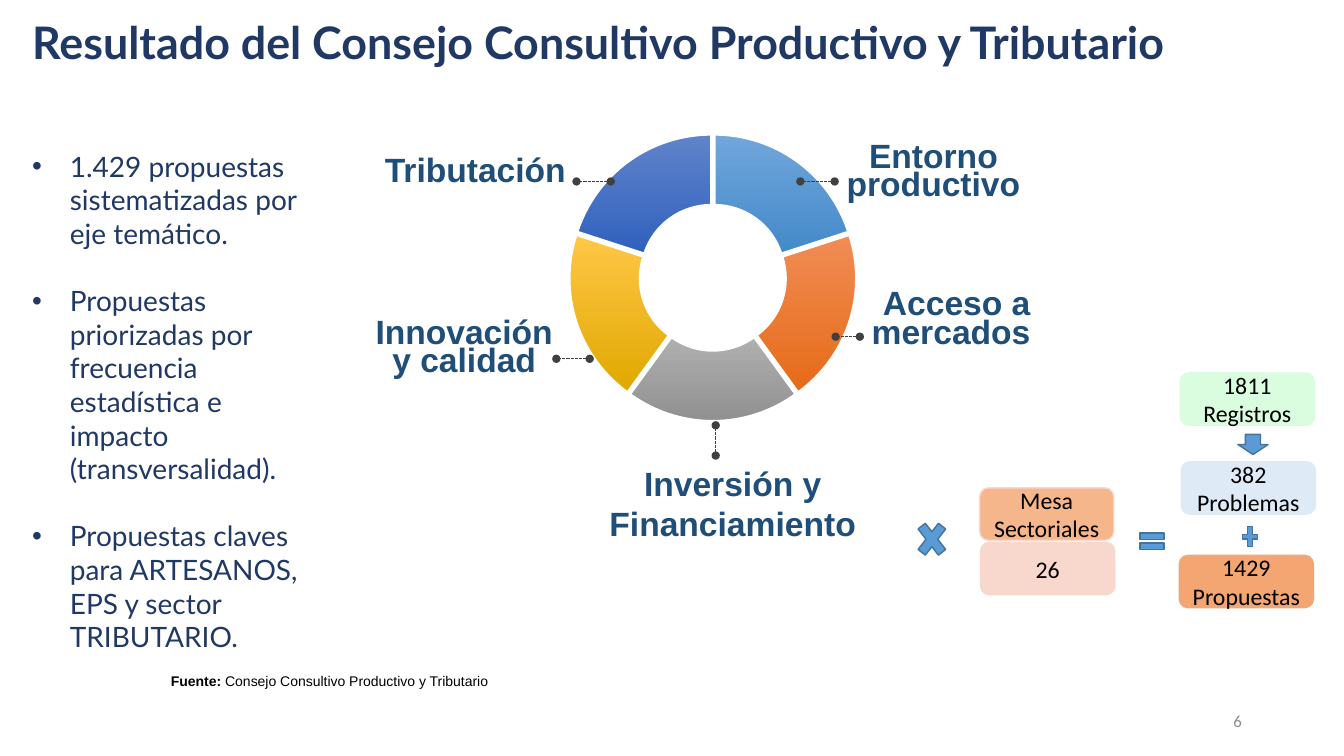
from lxml.etree import SubElement
from pptx import Presentation
from pptx.chart.data import CategoryChartData
from pptx.dml.color import RGBColor
from pptx.enum.chart import XL_CHART_TYPE as ChartType
from pptx.enum.dml import MSO_LINE as LineStyle
from pptx.enum.shapes import MSO_CONNECTOR as Connector, MSO_SHAPE as Shape
from pptx.enum.text import MSO_ANCHOR as Anchor, MSO_AUTO_SIZE as AutoSize, PP_ALIGN as Align
from pptx.oxml import parse_xml
from pptx.oxml.ns import nsdecls, qn
from pptx.util import Pt

NAVY, TEAL, BLACK = "203864", "1F4E79", "000000"
AXES = [
    ("Entorno productivo", (341.3, 14.4, 141.1, 57.6), Align.CENTER, 0.7, (341.3, 43.2, 316.8, 43.2)),
    ("Acceso a mercados", (359.3, 119.5, 128.9, 104.4), Align.RIGHT, 0.7, (359.3, 154.1, 342, 154.1)),
    ("Inversión y Financiamiento", (149.7, 240.5, 237.6, 76.3), Align.CENTER, 1, (256.3, 239, 256.3, 217.4)),
    ("Innovación y calidad", (0, 139.7, 153.4, 57.6), Align.CENTER, 0.7, (166.3, 169.9, 142.5, 169.9)),
    ("Tributación", (12.9, 24.5, 144, 32.4), Align.LEFT, 0.7, (181.4, 43.2, 156.9, 43.2)),
]
SEGMENTS = [("71A6DB", "438AC9"), ("F18C55", "E56B17"), ("AFAFAF", "919191"),
            ("FFC746", "E0A800"), ("6083CB", "3061BD")]
COUNTS = [
    (["Mesa Sectoriales"], 48.2, 82.1, "F5B68B", "F8D7CD"),
    (["26"], 48.9, 121, "F8D7CD", "F8D7CD"),
    (["1811", "Registros"], 191.5, 0, "DBFDDF", "DBFDDF"),
    (["382", "Problemas"], 192.2, 63.4, "DEEBF7", "DEEBF7"),
    (["1429", "Propuestas"], 190.8, 130.3, "F3A671", "F3A671"),
]
SYMBOLS = [
    (Shape.MATH_MULTIPLY, 0, 100.8, 28.1, 36),
    (Shape.MATH_EQUAL, 159.8, 110.2, 23, 20.2),
    (Shape.DOWN_ARROW, 232.6, 43.9, 21.6, 14.4),
    (Shape.MATH_PLUS, 234, 107.3, 14.4, 19.4),
]
PROPOSALS = [
    "1.429 propuestas sistematizadas por eje temático.",
    "Propuestas priorizadas por frecuencia estadística e impacto (transversalidad).",
    "Propuestas claves para ARTESANOS, EPS y sector TRIBUTARIO.",
]


def rgb(value):
    return RGBColor.from_string(value)


def points(*values):
    return [Pt(value) for value in values]


def add_run(paragraph, text, size, font, color, bold=False):
    run = paragraph.add_run()
    run.text = text
    run.font.size = Pt(size)
    run.font.name = font
    run.font.bold = bold
    run.font.color.rgb = rgb(color)


def add_box(slide, left, top, width, height, wrap=True):
    box = slide.shapes.add_textbox(*points(left, top, width, height))
    box.text_frame.word_wrap = wrap
    return box


def add_filled(slide, kind, left, top, width, height, fill, line):
    shape = slide.shapes.add_shape(kind, *points(left, top, width, height))
    shape.shadow.inherit = False
    shape.fill.solid()
    shape.fill.fore_color.rgb = rgb(fill)
    shape.line.color.rgb = rgb(line)
    shape.line.width = Pt(1)
    return shape


def add_title(slide, left, top, width, height):
    title = slide.shapes.title
    title.left, title.top, title.width, title.height = points(left, top, width, height)
    title.text_frame.vertical_anchor = Anchor.TOP
    title.text_frame.auto_size = AutoSize.NONE
    paragraph = title.text_frame.paragraphs[0]
    paragraph.alignment = Align.LEFT
    paragraph.line_spacing = 0.9
    add_run(paragraph, "Resultado del Consejo Consultivo Productivo y Tributario", 32, "Lato", NAVY, True)


def add_proposals(slide, left, top, width, height):
    frame = add_box(slide, left, top, width, height).text_frame
    for index, text in enumerate(PROPOSALS):
        paragraph = frame.add_paragraph() if index else frame.paragraphs[0]
        properties = paragraph._p.get_or_add_pPr()
        properties.set("marL", str(Pt(27)))
        properties.set("indent", str(-Pt(27)))
        SubElement(properties, qn("a:buFont")).set("typeface", "Arial")
        SubElement(properties, qn("a:buChar")).set("char", "•")
        if index:
            paragraph.space_before = Pt(24)
        add_run(paragraph, text, 20, "Lato", NAVY)


def add_ring(slide, left, top, width, height):
    data = CategoryChartData()
    data.categories = [str(number + 1) for number in range(len(SEGMENTS))]
    data.add_series("Series 1", [100 // len(SEGMENTS)] * len(SEGMENTS))
    chart = slide.shapes.add_chart(ChartType.DOUGHNUT, *points(left, top, width, height), data).chart
    chart.has_title = chart.has_legend = False
    chart.font.size = Pt(18)
    chart.font.name = "Calibri"
    chart.font.color.rgb = rgb(BLACK)
    plot = chart.plots[0]
    plot.vary_by_categories = True
    plot.has_data_labels = False
    series = plot.series[0]
    for index, colors in enumerate(SEGMENTS):
        style = series.points[index].format
        style.fill.gradient()
        style.fill.gradient_angle = 270
        for stop, color in zip(style.fill.gradient_stops, colors):
            stop.color.rgb = rgb(color)
        style.line.color.rgb = rgb("FFFFFF")
        style.line.width = Pt(1.5)
    explosion = parse_xml(f'<c:explosion {nsdecls("c")} val="4"/>')
    series._element.find(qn("c:dPt")).addprevious(explosion)
    area = chart._chartSpace.find(f'{qn("c:chart")}/{qn("c:plotArea")}')
    for layout in area.findall(qn("c:layout")):
        area.remove(layout)
    layout = parse_xml(f'<c:layout {nsdecls("c")}><c:manualLayout/></c:layout>')
    settings = [("layoutTarget", "inner"), ("xMode", "edge"), ("yMode", "edge"),
                ("x", "0.032"), ("y", "0.039"), ("w", "0.88"), ("h", "0.85")]
    for name, value in settings:
        SubElement(layout[0], qn(f"c:{name}")).set("val", value)
    area.insert(0, layout)


def add_leader(slide, start_x, start_y, end_x, end_y):
    leader = slide.shapes.add_connector(Connector.STRAIGHT, *points(start_x, start_y, end_x, end_y))
    leader.line.color.rgb = rgb("404040")
    leader.line.width = Pt(0.75)
    leader.line.dash_style = LineStyle.SQUARE_DOT
    properties = leader._element.spPr
    for end in ("a:headEnd", "a:tailEnd"):
        SubElement(properties.get_or_add_ln(), qn(end)).set("type", "oval")
    SubElement(properties, qn("a:effectLst"))
    return leader


def add_axes(slide, left, top):
    add_ring(slide, left + 103.7, top, 319, 241.2)
    for text, (x, y, width, height), alignment, spacing, line in AXES:
        label = add_box(slide, left + x, top + y, width, height, wrap=" " in text)
        label.text_frame.auto_size = AutoSize.SHAPE_TO_FIT_TEXT
        paragraph = label.text_frame.paragraphs[0]
        paragraph.alignment = alignment
        paragraph.line_spacing = spacing
        add_run(paragraph, text, 24, "Arial", TEAL, True)
        start_x, start_y, end_x, end_y = line
        leader = add_leader(slide, left + start_x, top + start_y, left + end_x, top + end_y)
        if (start_x, start_y) == (x, y + height / 2):
            leader.begin_connect(label, 1)


def add_counts(slide, left, top):
    for lines, x, y, fill, border in COUNTS:
        card = add_filled(slide, Shape.ROUNDED_RECTANGLE, left + x, top + y, 95.8, 37.4, fill, border)
        frame = card.text_frame
        frame.margin_left = frame.margin_right = frame.margin_top = frame.margin_bottom = Pt(3)
        frame.vertical_anchor = Anchor.MIDDLE
        paragraph = frame.paragraphs[0]
        paragraph.alignment = Align.CENTER
        for index, text in enumerate(lines):
            if index:
                paragraph.add_line_break()
            add_run(paragraph, text, 17, "Calibri", BLACK)
    for kind, x, y, width, height in SYMBOLS:
        add_filled(slide, kind, left + x, top + y, width, height, "5B9BD5", "43739E")


def add_source(slide, left, top, width, height):
    paragraph = add_box(slide, left, top, width, height, wrap=False).text_frame.paragraphs[0]
    add_run(paragraph, "Fuente:", 10, "Arial", BLACK, True)
    add_run(paragraph, " Consejo Consultivo Productivo y Tributario", 10, "Arial", BLACK)


def add_page_number(slide, left, top, width, height):
    frame = add_box(slide, left, top, width, height).text_frame
    frame.vertical_anchor = Anchor.MIDDLE
    frame.paragraphs[0].alignment = Align.RIGHT
    add_run(frame.paragraphs[0], "6", 12, "Calibri", "8C8C8C")


def main():
    presentation = Presentation()
    presentation.slide_width, presentation.slide_height = points(960, 540)
    slide = presentation.slides.add_slide(presentation.slide_layouts[5])
    add_title(slide, 15.8, 11.5, 922.3, 48.2)
    add_source(slide, 115, 476.6, 243, 19.4)
    add_axes(slide, 254.9, 86.4)
    add_counts(slide, 651.6, 266.4)
    add_proposals(slide, 15.8, 103, 205.2, 346.3)
    add_page_number(slide, 678.2, 500.4, 216, 28.8)
    presentation.save("out.pptx")


if __name__ == "__main__":
    main()
